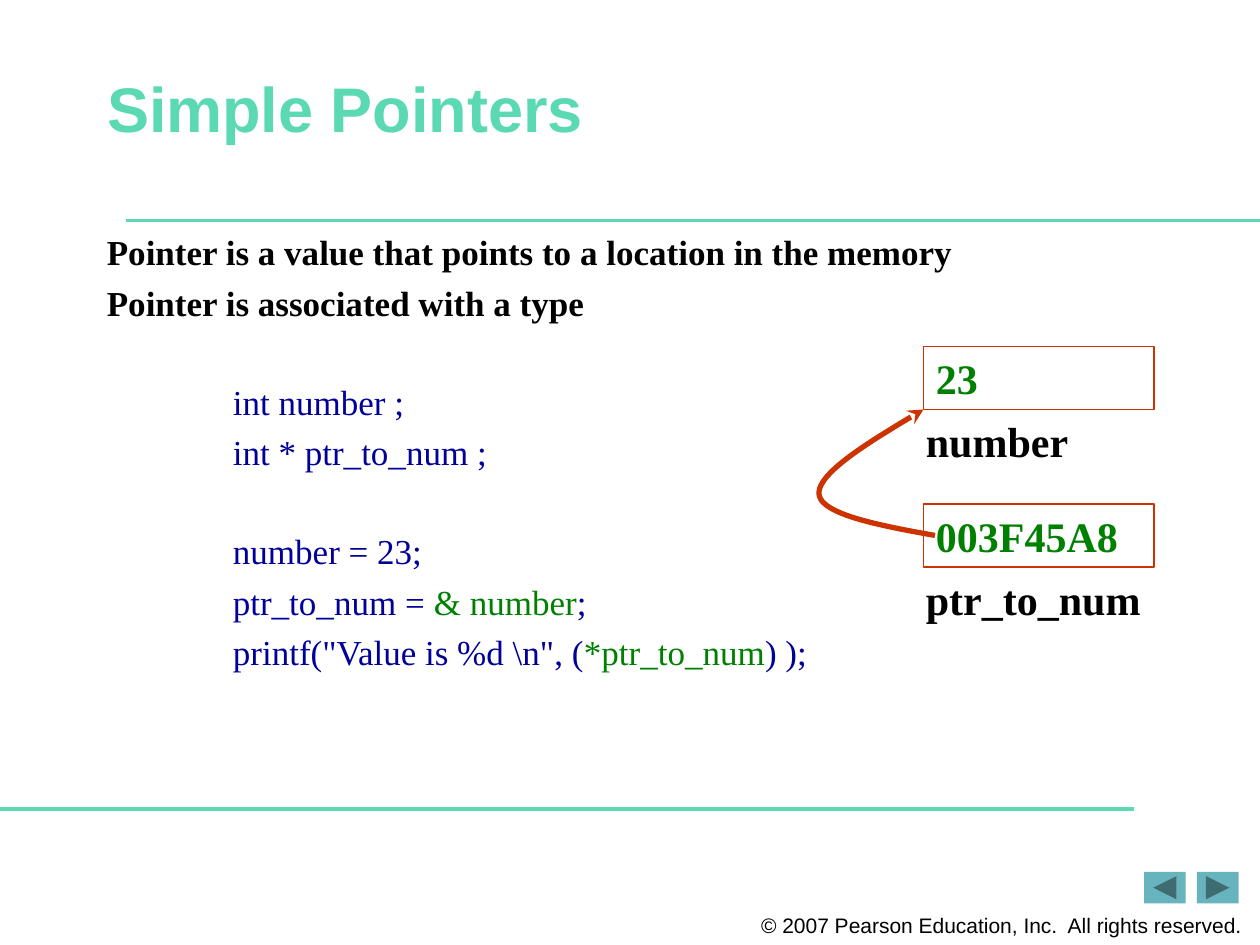
from lxml import etree
from pptx import Presentation
from pptx.dml.color import RGBColor
from pptx.enum.shapes import MSO_CONNECTOR, MSO_SHAPE
from pptx.enum.text import MSO_ANCHOR, PP_ALIGN
from pptx.oxml.ns import qn
from pptx.util import Inches, Pt

COLORS = {
    "mint": "5AD9B3",
    "teal": "67B4BF",
    "black": "000000",
    "code": "000099",
    "green": "008000",
    "red": "CC3300",
}
SERIF = "Times New Roman"
SANS = "Arial"
STATEMENTS = [
    "Pointer is a value that points to a location in the memory",
    "Pointer is associated with a type",
]
CODE_BLOCKS = [
    [["int number ;"], ["int * ptr_to_num ;"]],
    [
        ["number = 23;"],
        ["ptr_to_num = ", "& number", ";"],
        ['printf("Value is %d \\n", (', "*ptr_to_num", ") );"],
    ],
]
LINE_PITCH = 27.9
CURVE_STEPS = 24
POINTER_CURVES = [
    [(7.42, 4.25), (6.97, 4.17), (6.51, 4.08), (6.5, 3.92)],
    [(6.5, 3.92), (6.49, 3.75), (6.91, 3.5), (7.33, 3.25)],
]


def color(name):
    return RGBColor.from_string(COLORS[name])


def style_font(font, name, size, color_name, bold=False):
    font.name = name
    font.size = Pt(size)
    font.bold = bold
    font.color.rgb = color(color_name)


def set_frame(text_frame, anchor=MSO_ANCHOR.TOP, top=0.05):
    text_frame.word_wrap = True
    text_frame.vertical_anchor = anchor
    text_frame.margin_left = text_frame.margin_right = Inches(0.1)
    text_frame.margin_top = Inches(top)
    text_frame.margin_bottom = Inches(0.05)


def write_label(text_frame, text, name, size, color_name, bold=True, align=PP_ALIGN.LEFT):
    text_frame.text = text
    paragraph = text_frame.paragraphs[0]
    paragraph.alignment = align
    style_font(paragraph.runs[0].font, name, size, color_name, bold)


def add_text_box(slide, left, top, width, height):
    text_frame = slide.shapes.add_textbox(
        Inches(left), Inches(top), Inches(width), Inches(height)
    ).text_frame
    set_frame(text_frame)
    return text_frame


def add_rule(slide, left, right, top):
    rule = slide.shapes.add_connector(
        MSO_CONNECTOR.STRAIGHT, Inches(left), Inches(top), Inches(right), Inches(top)
    )
    rule.line.color.rgb = color("mint")
    rule.line.width = Pt(2)
    etree.SubElement(rule._element.spPr, qn("a:effectLst"))


def add_navigation_button(slide, left, rotation):
    button = slide.shapes.add_shape(
        MSO_SHAPE.ACTION_BUTTON_FORWARD_OR_NEXT,
        Inches(left), Inches(6.92), Inches(0.33), Inches(0.25),
    )
    button.rotation = rotation
    button.shadow.inherit = False
    button.fill.solid()
    button.fill.fore_color.rgb = color("teal")
    button.line.fill.background()


def add_title(slide):
    title = slide.shapes.title
    title.left, title.top = Inches(0.75), Inches(0.25)
    title.width, title.height = Inches(8.5), Inches(1.25)
    set_frame(title.text_frame, MSO_ANCHOR.MIDDLE, top=0)
    write_label(title.text_frame, "Simple Pointers", SANS, 36, "mint")


def add_body(slide):
    text_frame = add_text_box(slide, 0.75, 1.82, 8.5, 4)
    lines = [([text], False, False) for text in STATEMENTS]
    for block in CODE_BLOCKS:
        lines += [(parts, True, index == 0) for index, parts in enumerate(block)]
    for number, (parts, is_code, starts_block) in enumerate(lines):
        paragraph = text_frame.add_paragraph() if number else text_frame.paragraphs[0]
        paragraph.line_spacing = 0.9
        paragraph.space_after = Pt(7.2)
        if starts_block:
            paragraph.space_before = Pt(LINE_PITCH)
        if is_code:
            paragraph._p.get_or_add_pPr().set("marL", str(Inches(1)))
        for index, text in enumerate(parts):
            run = paragraph.add_run()
            run.text = text
            code_color = "green" if index == 1 else "code"
            style_font(run.font, SERIF, 20, code_color if is_code else "black", not is_code)


def add_variable(slide, top, value, name, label_width):
    cell = slide.shapes.add_shape(
        MSO_SHAPE.RECTANGLE, Inches(7.33), Inches(top), Inches(1.83), Inches(0.5)
    )
    cell.shadow.inherit = False
    cell.fill.background()
    cell.line.color.rgb = color("red")
    cell.line.width = Pt(0.75)
    set_frame(cell.text_frame)
    write_label(cell.text_frame, value, SERIF, 24, "green")
    label = add_text_box(slide, 7.25, top + 0.5, label_width, 0.5)
    write_label(label, name, SERIF, 24, "black")


def curve_point(controls, t):
    weights = [(1 - t) ** 3, 3 * t * (1 - t) ** 2, 3 * t**2 * (1 - t), t**3]
    return tuple(
        Inches(sum(weight * point[axis] for weight, point in zip(weights, controls)))
        for axis in (0, 1)
    )


def add_pointer_arrow(slide):
    points = [
        curve_point(controls, step / CURVE_STEPS)
        for controls in POINTER_CURVES
        for step in range(1, CURVE_STEPS + 1)
    ]
    start_x, start_y = curve_point(POINTER_CURVES[0], 0)
    builder = slide.shapes.build_freeform(start_x, start_y)
    builder.add_line_segments(points, close=False)
    arrow = builder.convert_to_shape()
    arrow.shadow.inherit = False
    arrow.fill.background()
    arrow.line.color.rgb = color("red")
    arrow.line.width = Pt(3)
    line = arrow.line._get_or_add_ln()
    etree.SubElement(line, qn("a:round"))
    etree.SubElement(line, qn("a:tailEnd"), type="stealth")


def add_footer(slide):
    text_frame = add_text_box(slide, 5.93, 7.19, 4.04, 0.3)
    text_frame.word_wrap = False
    write_label(
        text_frame, "© 2007 Pearson Education, Inc.  All rights reserved.",
        SANS, 12, "black", bold=False, align=PP_ALIGN.CENTER,
    )


def main():
    presentation = Presentation()
    presentation.slide_width = Inches(10)
    presentation.slide_height = Inches(7.5)
    slide = presentation.slides.add_slide(presentation.slide_layouts[5])
    add_navigation_button(slide, 9.5, 0)
    add_navigation_button(slide, 9.08, 180)
    add_rule(slide, 1, 10, 1.75)
    add_rule(slide, 0, 9, 6.42)
    add_footer(slide)
    add_title(slide)
    add_body(slide)
    add_variable(slide, 2.75, "23", "number", 1.75)
    add_variable(slide, 4, "003F45A8", "ptr_to_num", 2.42)
    add_pointer_arrow(slide)
    presentation.save("out.pptx")


if __name__ == "__main__":
    main()
